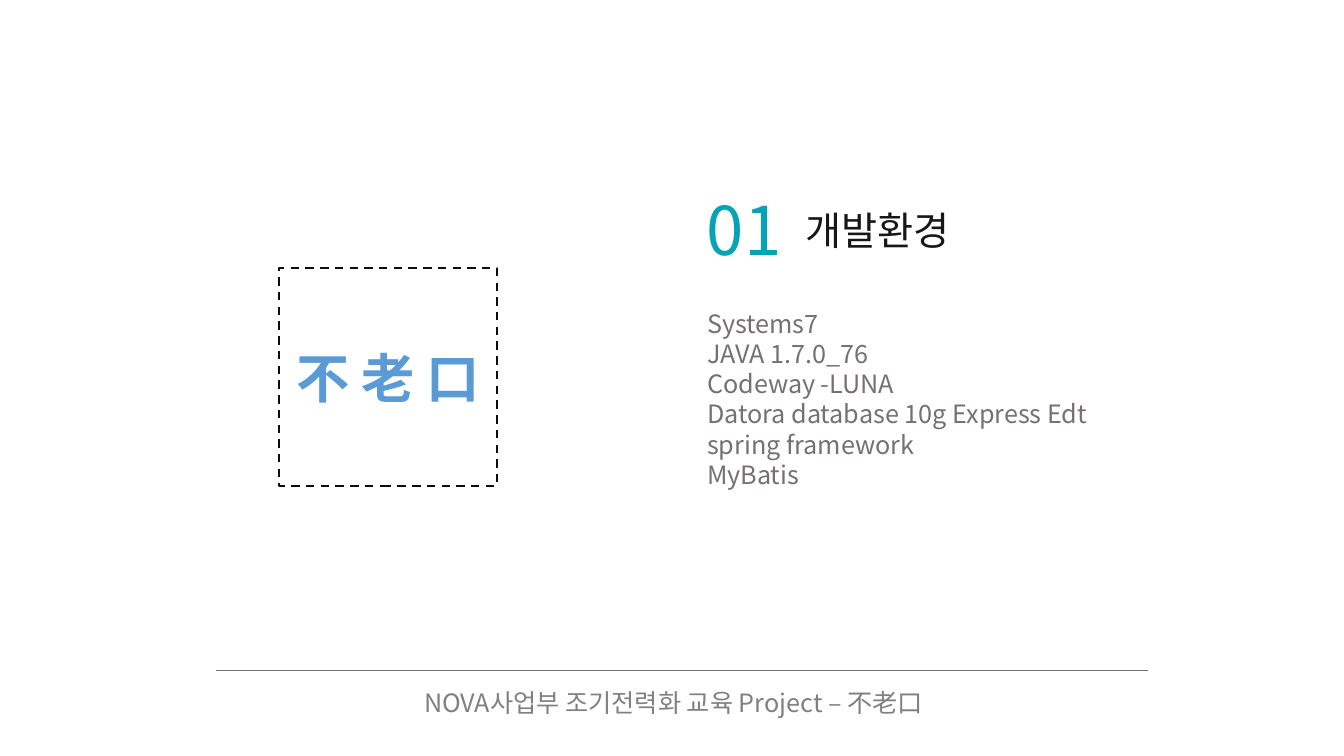
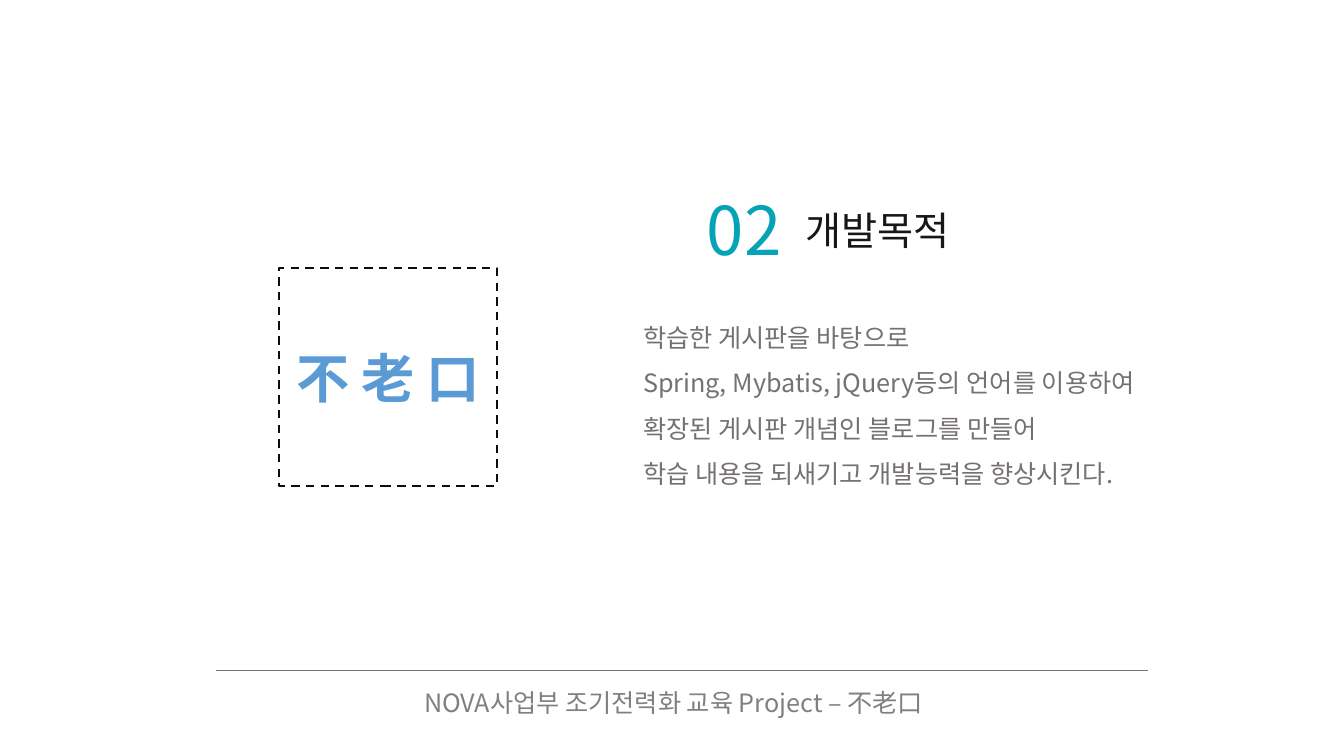
from pptx import Presentation
from pptx import util as u
from pptx.dml.color import RGBColor
from pptx.enum import dml, shapes, text
from pptx.oxml.ns import qn
from lxml import etree

SCALE = 914400 / 100.8
FONT = "Noto Sans CJK KR"
TEAL = RGBColor(0x06, 0xA3, 0xB6)
INK = RGBColor(0x18, 0x17, 0x17)
BORDER = RGBColor(0x0D, 0x0D, 0x0D)
GRAY = RGBColor(0x76, 0x71, 0x71)
FOOTER_GRAY = RGBColor(0x80, 0x80, 0x80)
BLUE = RGBColor(0x5B, 0x9B, 0xD5)

EMBLEM = "\uf967 老 口"
FOOTER = "NOVA사업부 조기전력화 교육 Project – \uf967老口"
SECTIONS = [
    ("01", "개발환경", (697, 303, 408, 194), 1.0,
     ["Systems7", "JAVA 1.7.0_76", "Codeway -LUNA",
      "Datora database 10g Express Edt", "spring framework", "MyBatis"]),
    ("02", "개발목적", (633, 302, 543, 187), 1.5,
     ["학습한 게시판을 바탕으로",
      "Spring, Mybatis, jQuery등의 언어를 이용하여",
      "확장된 게시판 개념인 블로그를 만들어",
      "학습 내용을 되새기고 개발능력을 향상시킨다."]),
]


def px(length):
    return u.Emu(round(length * SCALE))


def place(shape, box):
    shape.left, shape.top, shape.width, shape.height = map(px, box)


def write(shape, wording, size, color, align=text.PP_ALIGN.LEFT,
          anchor=text.MSO_ANCHOR.TOP, wrap=False, bold=False, spacing=1.0):
    frame = shape.text_frame
    frame.text = wording
    frame.word_wrap = wrap
    frame.auto_size = text.MSO_AUTO_SIZE.NONE
    frame.vertical_anchor = anchor
    for paragraph in frame.paragraphs:
        paragraph.alignment = align
        paragraph.line_spacing = spacing
        paragraph.space_before = u.Pt(0)
        for run in paragraph.runs:
            font = run.font
            font.name, font.size, font.bold = FONT, u.Pt(size), bold
            font.color.rgb = color
            east_asian = etree.SubElement(run._r.get_or_add_rPr(), qn("a:ea"))
            east_asian.set("typeface", FONT)


def add_label(slide, box, wording, size, color, **style):
    label = slide.shapes.add_textbox(*map(px, box))
    write(label, wording, size, color, **style)


def add_emblem(slide):
    emblem = slide.shapes.add_shape(shapes.MSO_SHAPE.RECTANGLE,
                                    *map(px, (279, 268, 218, 218)))
    emblem.shadow.inherit = False
    emblem.fill.background()
    emblem.line.color.rgb = BORDER
    emblem.line.width = u.Pt(1.5)
    emblem.line.dash_style = dml.MSO_LINE.DASH
    write(emblem, EMBLEM, 38, BLUE, align=text.PP_ALIGN.CENTER,
          anchor=text.MSO_ANCHOR.MIDDLE, wrap=True, bold=True)


def add_footer(slide):
    rule = slide.shapes.add_connector(shapes.MSO_CONNECTOR.STRAIGHT,
                                      *map(px, (216, 670, 1148, 670)))
    rule.line.color.rgb = GRAY
    rule.line.width = u.Pt(0.5)
    etree.SubElement(rule._element.spPr, qn("a:effectLst"))
    add_label(slide, (402, 682, 543, 40), FOOTER, 18, FOOTER_GRAY,
              align=text.PP_ALIGN.CENTER)


def fill_body(body, box, lines, spacing):
    place(body, box)
    write(body, "\n".join(lines), 18, GRAY, wrap=True, spacing=spacing)
    for paragraph in body.text_frame.paragraphs:
        properties = paragraph._p.get_or_add_pPr()
        properties.set("marL", "0")
        properties.set("indent", "0")
        etree.SubElement(properties, qn("a:buNone"))


def add_section(deck, number, heading, body_box, spacing, lines):
    slide = deck.slides.add_slide(deck.slide_layouts[1])
    title, body = slide.placeholders
    add_label(slide, (697, 183, 96, 92), number, 48, TEAL)
    place(title, (795, 201, 178, 57))
    write(title, heading, 28, INK)
    fill_body(body, body_box, lines, spacing)
    add_emblem(slide)
    add_footer(slide)


def main():
    deck = Presentation()
    deck.slide_width, deck.slide_height = px(1344), px(756)
    for section in SECTIONS:
        add_section(deck, *section)
    deck.save("out.pptx")


main()
